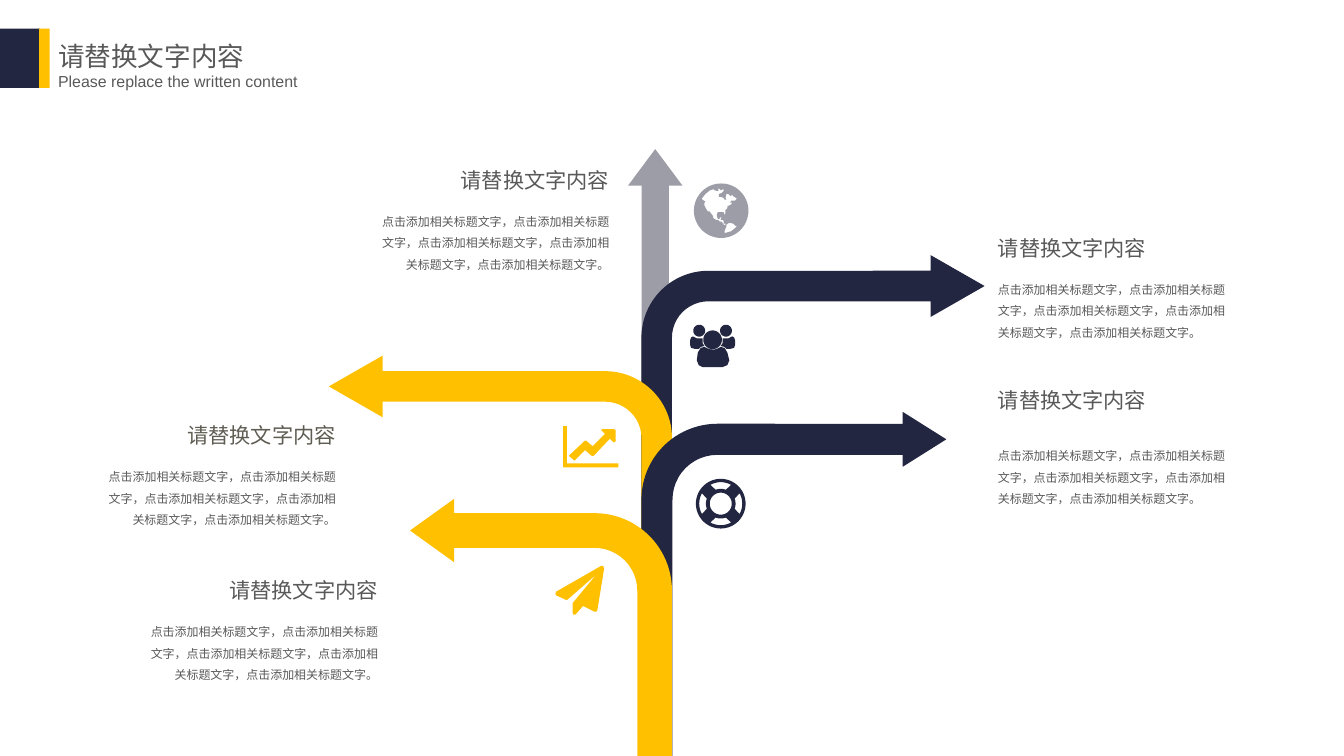
import math
from dataclasses import dataclass

import pptx
import pptx.dml.color
import pptx.enum.shapes
import pptx.enum.text
import pptx.util

Inches = pptx.util.Inches
Pt = pptx.util.Pt
Shape = pptx.enum.shapes.MSO_SHAPE
Align = pptx.enum.text.PP_ALIGN
Fit = pptx.enum.text.MSO_AUTO_SIZE
Points = list[tuple[float, float]]


@dataclass(frozen=True)
class Theme:
    navy: str = "232641"
    gold: str = "FFC000"
    gray: str = "9D9DA8"
    text: str = "595959"
    warm_text: str = "605E54"
    cjk_font: str = "Noto Sans CJK SC"
    header_size: int = 20
    subheader_size: int = 12
    title_size: int = 16
    body_size: int = 9


@dataclass(frozen=True)
class Block:
    """A filled preset shape."""
    kind: Shape
    at: tuple[float, float, float, float]
    color: str
    adjustments: tuple[float, ...] = ()
    flipped: bool = False


@dataclass(frozen=True)
class Icon:
    """Outlines in hundredths of an inch from the icon's corner."""
    left: float
    top: float
    color: str
    outlines: list[Points]


@dataclass(frozen=True)
class Line:
    text: str
    size: int
    font: str
    color: str
    spacing: float = 1.0
    before: float = 0


@dataclass(frozen=True)
class Caption:
    at: tuple[float, float, float, float]
    align: Align
    gap: float = 11
    title_color: str = Theme.text


THEME = Theme()
TITLE = "请替换文字内容"
BODY = "，".join(["点击添加相关标题文字"] * 5) + "。"

# Arrows, from back to front
ARROWS = [
    Block(Shape.UP_ARROW, (6.57, 1.56, 0.57, 6.35), THEME.gray, (0.5, 0.671)),
    Block(Shape.BENT_ARROW, (6.71, 2.67, 3.59, 5.24), THEME.navy, (0.089, 0.09, 0.157, 0.195)),
    Block(Shape.BENT_ARROW, (3.44, 3.72, 3.59, 4.19), THEME.gold, (0.089, 0.09, 0.157, 0.195), True),
    Block(Shape.BENT_ARROW, (6.71, 4.31, 3.19, 3.6), THEME.navy, (0.102, 0.09, 0.143, 0.249)),
    Block(Shape.BENT_ARROW, (4.29, 5.22, 2.74, 2.69), THEME.gold, (0.135, 0.123, 0.171, 0.301), True),
]
HEADER_BARS = [
    Block(Shape.RECTANGLE, (0, 0.3, 0.42, 0.62), THEME.navy),
    Block(Shape.RECTANGLE, (0.41, 0.3, 0.11, 0.62), THEME.gold),
]
CAPTIONS = [
    Caption((1.4, 5.99, 2.65, 1.18), Align.RIGHT),
    Caption((1, 4.37, 2.61, 1.35), Align.RIGHT, title_color=THEME.warm_text),
    Caption((10.34, 4, 2.61, 1.51), Align.LEFT, gap=22),
    Caption((3.86, 1.7, 2.61, 1.35), Align.RIGHT),
    Caption((10.34, 2.41, 2.61, 1.35), Align.LEFT),
]


def arc(x: float, y: float, radius: float, start: float = 0, end: float = 360) -> Points:
    steps = max(8, round(abs(end - start) / 6))
    angles = [math.radians(start + (end - start) * i / steps) for i in range(steps + 1)]
    return [(x + radius * math.cos(a), y + radius * math.sin(a)) for a in angles]


def buoy_slot(middle: float) -> Points:
    return arc(26, 26, 22.5, middle - 29, middle + 29) + arc(26, 26, 15.5, middle + 20, middle - 20)


# Icon outlines
PLANE: Points = [
    (51, 3), (44, 46), (43, 48), (41, 48), (29, 42), (21, 51), (19, 51), (18, 49), (18, 39),
    (43, 9), (12, 36), (1, 31), (0, 29), (1, 27), (48, 0), (50, 0)]
CHART_AXES: Points = [(58, 43), (0, 43), (0, 0), (4, 0), (4, 39), (58, 39)]
CHART_ARROW: Points = [
    (55, 16), (53, 17), (49, 13), (32, 31), (30, 31), (23, 25), (12, 36), (6, 31),
    (23, 15), (24, 15), (31, 21), (44, 8), (40, 4), (41, 3), (53, 3), (55, 4)]
NORTH_LAND: Points = [
    (38, 20), (39, 18), (43, 18), (45, 16), (44, 15), (42, 14), (40, 12), (38, 13), (36, 11),
    (34, 11), (33, 15), (34, 17), (32, 17), (31, 15), (28, 14), (26, 14), (26, 11), (29, 10),
    (31, 8), (31, 6), (28, 7), (26, 5), (25, 6), (26, 7), (25, 8), (21, 7), (21, 6), (17, 7),
    (12, 11), (8, 16), (9, 17), (12, 19), (11, 20), (11, 23), (13, 27), (15, 30), (17, 33),
    (15, 29), (16, 29), (20, 34), (20, 36), (23, 38), (25, 38), (27, 40), (29, 40), (31, 43),
    (33, 44), (33, 42), (31, 42), (31, 39), (30, 38), (28, 38), (29, 35), (27, 36), (27, 37),
    (25, 37), (24, 34), (24, 32), (25, 30), (28, 30), (31, 30), (32, 33), (33, 31), (33, 28),
    (35, 26), (35, 24), (37, 23), (39, 22), (40, 20)]
SOUTH_LAND: Points = [
    (45, 45), (43, 44), (41, 42), (37, 41), (34, 43), (34, 45), (33, 47), (32, 50), (32, 52), (39, 50)]
SIDE_BODY: Points = [
    (9, 25), (5, 25), (1, 24), (0, 21), (0, 16), (1, 13), (3, 12), (7, 14),
    (13, 14), (13, 15), (13, 19), (15, 22), (11, 23)]
MAIN_BODY: Points = [
    (34, 44), (13, 44), (9, 42), (7, 37), (8, 29), (11, 24), (15, 23), (19, 25),
    (24, 26), (28, 25), (32, 23), (36, 24), (39, 29), (41, 37), (39, 42)]

ICONS = [
    Icon(5.81, 5.92, THEME.gold, [PLANE]),
    Icon(7.26, 1.92, THEME.gray, [arc(28.5, 28.5, 28.5), NORTH_LAND, SOUTH_LAND]),
    Icon(5.89, 4.46, THEME.gold, [CHART_AXES, CHART_ARROW]),
    Icon(7.28, 5.01, THEME.navy,
         [arc(26, 26, 26), arc(26, 26, 11.5)] + [buoy_slot(90 * side) for side in range(4)]),
    Icon(7.22, 3.4, THEME.navy,
         [arc(9.5, 6, 6.2), arc(37.5, 6, 6.2), arc(23.5, 15.5, 9.75), MAIN_BODY,
          SIDE_BODY, [(47 - x, y) for x, y in SIDE_BODY]]),
]


def paint(shape, color: str) -> None:
    shape.shadow.inherit = False
    shape.fill.solid()
    shape.fill.fore_color.rgb = pptx.dml.color.RGBColor.from_string(color)
    shape.line.fill.background()


def draw_block(shapes, block: Block) -> None:
    shape = shapes.add_shape(block.kind, *map(Inches, block.at))
    for index, value in enumerate(block.adjustments):
        shape.adjustments[index] = value
    if block.flipped:
        shape._element.spPr.xfrm.set("flipH", "1")
    paint(shape, block.color)


def draw_icon(shapes, icon: Icon) -> None:
    outlines = [[(Inches(icon.left + x / 100), Inches(icon.top + y / 100)) for x, y in outline]
                for outline in icon.outlines]
    builder = shapes.build_freeform(*outlines[0][0])
    for index, outline in enumerate(outlines):
        if index:
            builder.move_to(*outline[0])
        builder.add_line_segments(outline[1:], close=True)
    paint(builder.convert_to_shape(), icon.color)


def draw_text(shapes, at: tuple[float, float, float, float], lines: list[Line],
              align: Align = Align.LEFT, wrap: bool = True) -> None:
    frame = shapes.add_textbox(*map(Inches, at)).text_frame
    frame.word_wrap = wrap
    frame.auto_size = Fit.SHAPE_TO_FIT_TEXT
    for index, line in enumerate(lines):
        para = frame.add_paragraph() if index else frame.paragraphs[0]
        layout = {"alignment": align, "line_spacing": line.spacing}
        if line.before:
            layout["space_before"] = Pt(line.before)
        for name, value in layout.items():
            setattr(para, name, value)
        span = para.add_run()
        span.text = line.text
        for name, value in {"size": Pt(line.size), "name": line.font}.items():
            setattr(span.font, name, value)
        span.font.color.rgb = pptx.dml.color.RGBColor.from_string(line.color)


def main() -> None:
    deck = pptx.Presentation()
    deck.slide_width, deck.slide_height = Inches(14.06), Inches(7.91)
    shapes = deck.slides.add_slide(deck.slide_layouts[6]).shapes

    # Arrow tree
    for arrow in ARROWS:
        draw_block(shapes, arrow)

    # Captions and icons
    for caption in CAPTIONS:
        draw_text(shapes, caption.at, [
            Line(TITLE, THEME.title_size, THEME.cjk_font, caption.title_color),
            Line(BODY, THEME.body_size, THEME.cjk_font, THEME.text, 1.5, caption.gap),
        ], caption.align)
    for icon in ICONS:
        draw_icon(shapes, icon)

    # Page header
    draw_text(shapes, (0.51, 0.2, 2.17, 0.55),
              [Line(TITLE, THEME.header_size, "Calibri", THEME.text, 1.5)], wrap=False)
    draw_text(shapes, (0.51, 0.6, 2.73, 0.37),
              [Line("Please replace the written content", THEME.subheader_size, "Arial", THEME.text, 1.5)],
              wrap=False)
    header = shapes.add_group_shape()
    for bar in HEADER_BARS:
        draw_block(header.shapes, bar)

    deck.save("out.pptx")


if __name__ == "__main__":
    main()
